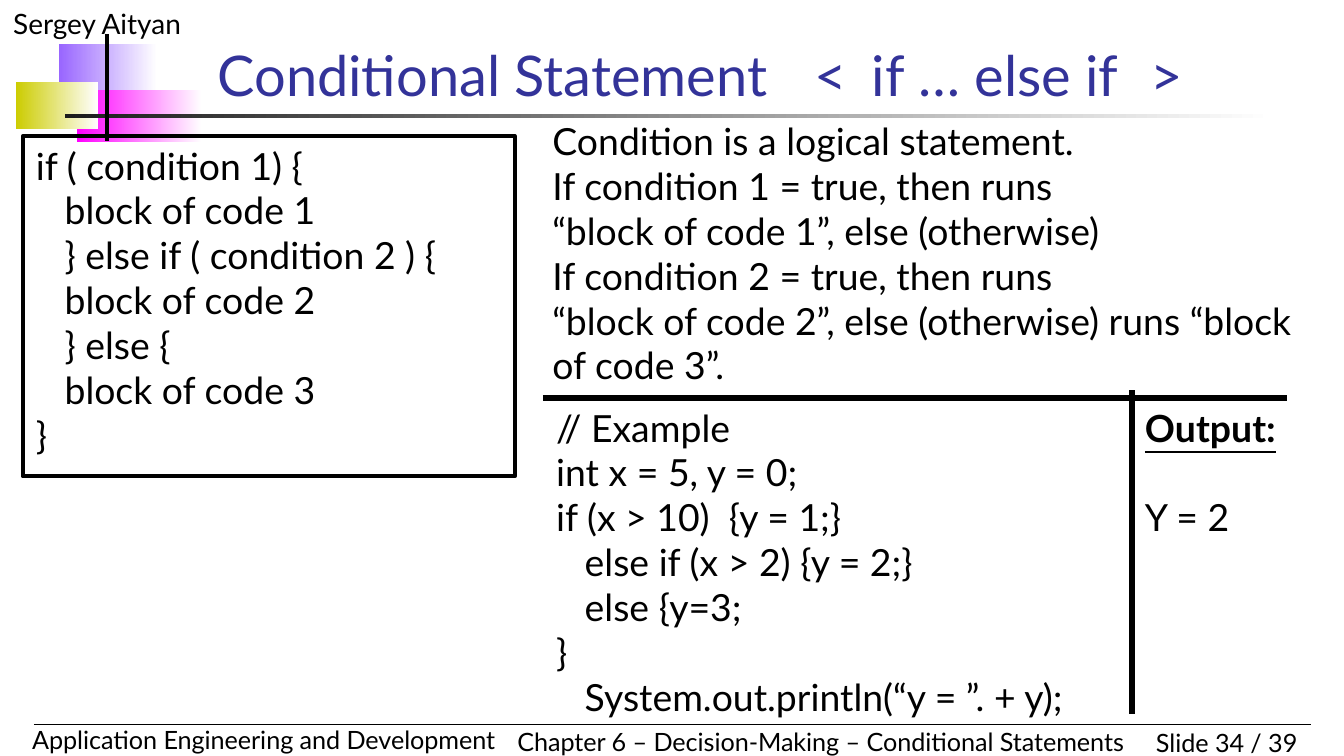
from lxml.etree import SubElement
from pptx import Presentation
from pptx.dml.color import RGBColor
from pptx.enum.shapes import MSO_CONNECTOR as Connector, MSO_SHAPE as Shape
from pptx.enum.text import MSO_ANCHOR as Anchor, PP_ALIGN as Align
from pptx.oxml.ns import qn
from pptx.util import Cm, Pt

FONT = "Lato"
BLACK, WHITE, NAVY = "000000", "FFFFFF", "333399"

# Content
TITLE = "Conditional Statement\t<\tif … else if\t>"
TITLE_TABS = (11.28, 12.37, 17.63)
SYNTAX = [
    "if ( condition 1) {",
    "   block of code 1",
    "   } else if ( condition 2 ) {",
    "   block of code 2",
    "   } else {",
    "   block of code 3",
    "}",
]
EXPLANATION = [
    "Condition is a logical statement.",
    "If condition 1 = true, then runs \n“block of code 1”, else (otherwise)",
    "If condition 2 = true, then runs \n"
    "“block of code 2”, else (otherwise) runs “block of code 3”.",
]
EXAMPLE = [
    "// Example",
    "int x = 5, y = 0;",
    "if (x > 10)  {y = 1;}",
    "   else if (x > 2) {y = 2;}",
    "   else {y=3;",
    "}",
    "   System.out.println(“y = ”. + y);",
]
OUTPUT = ["Output:", "Y = 2"]

# Places in cm: left, top, width, height
GRADIENTS = [
    ("9966FF", (1.12, 0.84, 1.85, 0.99)),
    ("FF00FF", (1.45, 1.7, 2.36, 0.99)),
    ("CCCC00", (0.3, 1.55, 1.55, 0.89)),
    ("1C1C1C", (1.22, 2.16, 22.86, 0.08)),
]
LABELS = [
    ("Sergey Aityan", (0, 0, 6.35, 0.89), 15, Align.LEFT),
    ("Slide 34 / 39", (20.96, 13.61, 3.81, 0.84), 13.5, Align.RIGHT),
    ("Application Engineering and Development",
     (0.36, 13.56, 9.4, 0.84), 13.5, Align.LEFT),
    ("Chapter 6 – Decision-Making – Conditional Statements",
     (9.53, 13.59, 12.09, 0.84), 13.5, Align.LEFT),
]
SPLIT_X, SPLIT_Y, EXAMPLE_X = 21.39, 7.52, 10.26
RULES = [  # x1, y1, x2, y2, points
    (0.64, 13.69, 24.77, 13.69, 0.75),
    (2.03, 0.64, 2.03, 2.67, 2),
    (EXAMPLE_X, SPLIT_Y, 24.33, SPLIT_Y, 3),
    (SPLIT_X, 7.37, SPLIT_X, 13.49, 3),
]


def color(value):
    return RGBColor.from_string(value)


def add_text(page, lines, place, size=20, fill=BLACK, align=Align.LEFT):
    box = page.shapes.add_textbox(*map(Cm, place))
    frame = box.text_frame
    frame.word_wrap = True
    for index, line in enumerate(lines):
        para = frame.paragraphs[0] if index == 0 else frame.add_paragraph()
        para.text = line
        para.alignment = align
        para.font.name = FONT
        para.font.size = Pt(size)
        para.font.color.rgb = color(fill)
    return box


def add_gradient(page, start, place):
    block = page.shapes.add_shape(Shape.RECTANGLE, *map(Cm, place))
    block.shadow.inherit = False
    block.line.fill.background()
    block.fill.gradient()
    block.fill.gradient_angle = 0
    for stop, shade in zip(block.fill.gradient_stops, (start, WHITE)):
        stop.color.rgb = color(shade)


def add_rule(page, x1, y1, x2, y2, width):
    rule = page.shapes.add_connector(
        Connector.STRAIGHT, Cm(x1), Cm(y1), Cm(x2), Cm(y2))
    rule.line.color.rgb = color(BLACK)
    rule.line.width = Pt(width)
    SubElement(rule._element.spPr, qn("a:effectLst"))


def add_title(page):
    box = add_text(page, [TITLE], (3.86, 0.79, 20.47, 1.37), 30, NAVY)
    box.text_frame.vertical_anchor = Anchor.BOTTOM
    properties = box.text_frame.paragraphs[0]._p.get_or_add_pPr()
    tabs = properties.makeelement(qn("a:tabLst"), {})
    properties.insert(0, tabs)  # tab stops come before the font settings
    for stop in TITLE_TABS:
        SubElement(tabs, qn("a:tab"), pos=str(Cm(stop)), algn="l")


def main():
    deck = Presentation()
    deck.slide_width, deck.slide_height = Cm(25.4), Cm(14.28)
    page = deck.slides.add_slide(deck.slide_layouts[6])

    # Corner decoration, header and footer
    for start, place in GRADIENTS:
        add_gradient(page, start, place)
    for text, place, size, align in LABELS:
        add_text(page, [text], place, size, align=align)
    for rule in RULES:
        add_rule(page, *rule)
    add_title(page)

    # Syntax and its explanation
    syntax = add_text(page, SYNTAX, (0.43, 2.57, 9.3, 6.43))
    syntax.line.color.rgb = color(BLACK)
    syntax.line.width = Pt(2)
    add_text(page, EXPLANATION, (10.19, 2.11, 14.81, 4.8))

    # Example and its output
    add_text(page, EXAMPLE, (EXAMPLE_X, SPLIT_Y, SPLIT_X - EXAMPLE_X, 5.26))
    output = add_text(page, OUTPUT, (SPLIT_X, SPLIT_Y, 3.61, 5.26))
    heading, result = output.text_frame.paragraphs
    heading.font.bold = heading.font.underline = True
    result.space_before = Pt(24)

    deck.save("out.pptx")


if __name__ == "__main__":
    main()
